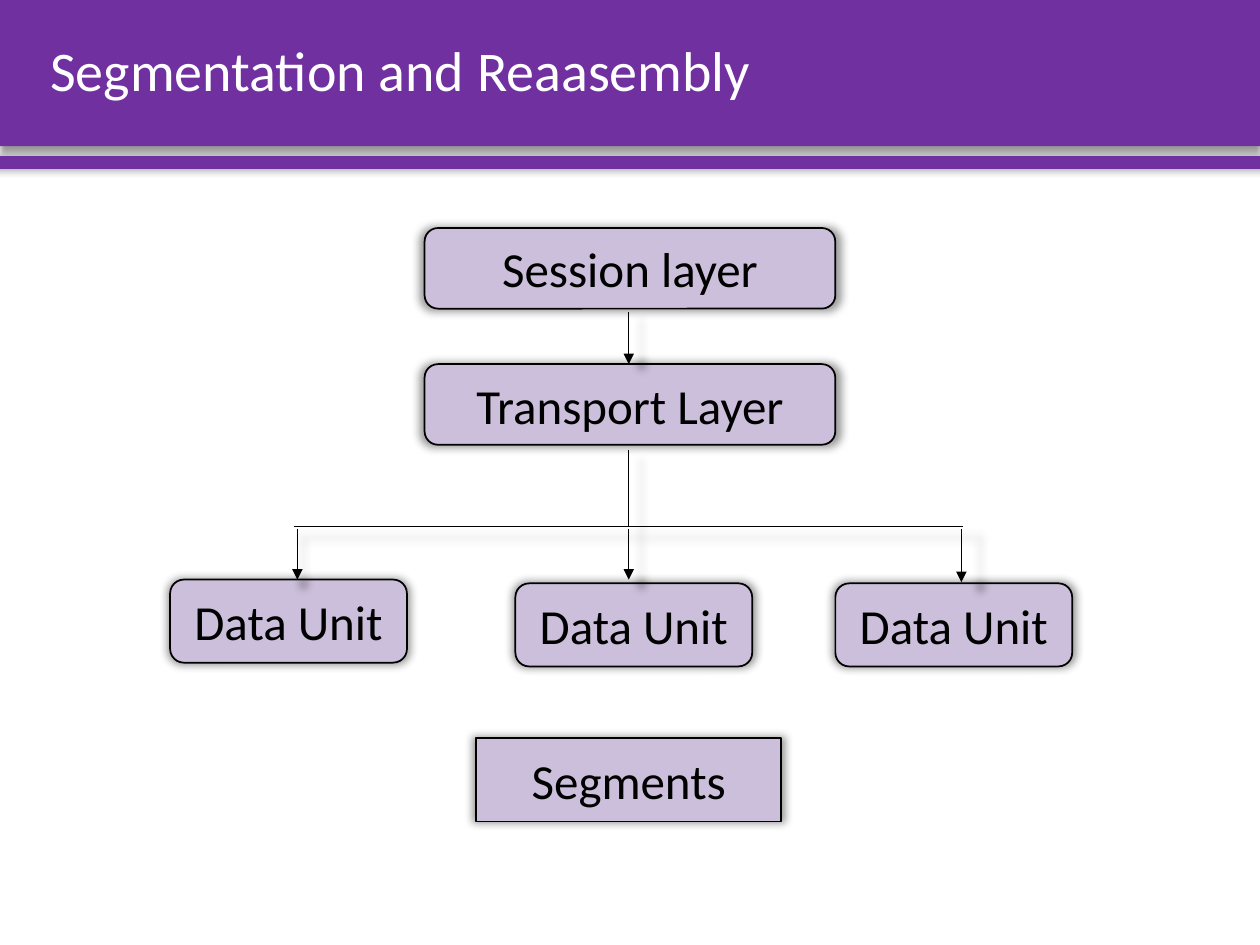
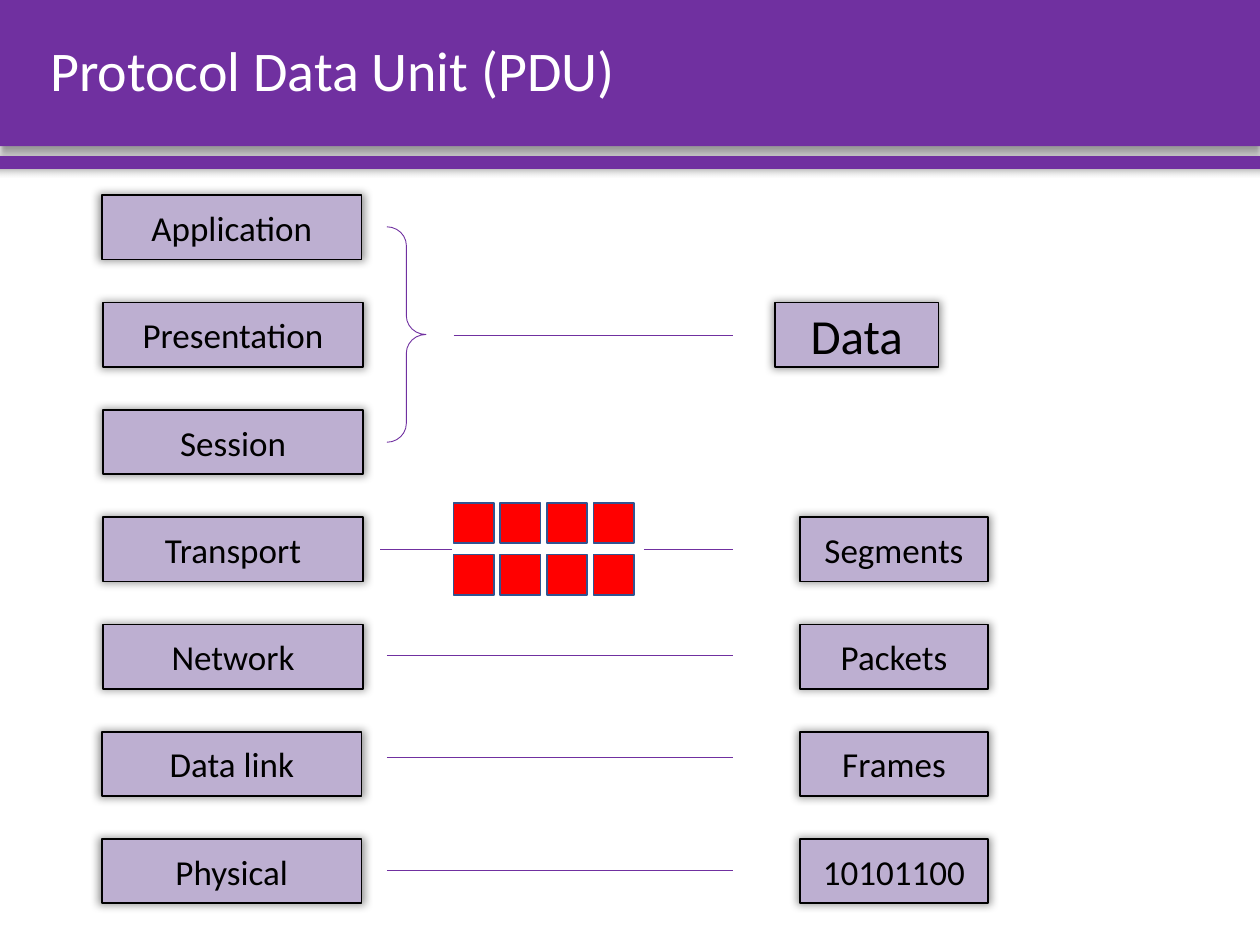
from dataclasses import dataclass

from lxml import etree
from pptx import Presentation
from pptx.dml.color import RGBColor
from pptx.enum.shapes import MSO_CONNECTOR as CONN, MSO_SHAPE as SHAPE
from pptx.enum.text import MSO_ANCHOR as ANCHOR, PP_ALIGN as ALIGN
from pptx.oxml.ns import qn
from pptx.util import Inches, Pt


@dataclass(frozen=True)
class Theme:
    font: str = "Calibri"
    purple: str = "7030A0"
    lilac: str = "CCBFDB"
    mauve: str = "BDAFD1"
    red: str = "FF0000"
    blue: str = "325491"
    black: str = "000000"
    white: str = "FFFFFF"
    title: int = 32
    large: int = 28
    body: int = 20
    outline: float = 1
    hairline: float = 0.5


T = Theme()


def rgb(value):
    return RGBColor.from_string(value)


# Shared drawing helpers; lengths are in inches
def add_shadow(s, blur=5, dist=0, angle=0, scale=102):
    spPr = s.element.spPr
    effects = spPr.find(qn("a:effectLst"))
    if effects is None:
        effects = etree.SubElement(spPr, qn("a:effectLst"))
    shadow = etree.SubElement(
        effects, qn("a:outerShdw"), blurRad=str(Pt(blur)), dist=str(Pt(dist)),
        dir=str(angle * 60000), sx=str(scale * 1000), sy=str(scale * 1000),
        algn="ctr", rotWithShape="0")
    color = etree.SubElement(shadow, qn("a:srgbClr"), val=T.black)
    etree.SubElement(color, qn("a:alpha"), val="40000")


def add_shape(parent, box, fill=None, line=None, kind=SHAPE.RECTANGLE,
              width=T.outline):
    s = parent.shapes.add_shape(kind, *map(Inches, box))
    s.shadow.inherit = False
    if fill:
        s.fill.solid()
        s.fill.fore_color.rgb = rgb(fill)
    else:
        s.fill.background()
    if line:
        s.line.color.rgb = rgb(line)
        s.line.width = Pt(width)
    else:
        s.line.fill.background()
    return s


def write(s, text, size, color, align):
    tf = s.text_frame
    tf.word_wrap = True
    tf.vertical_anchor = ANCHOR.MIDDLE
    tf.text = text
    p = tf.paragraphs[0]
    p.alignment = align
    p.font.name = T.font
    p.font.size = Pt(size)
    p.font.color.rgb = rgb(color)
    return p


def add_label(slide, box, text, fill, size, kind=SHAPE.RECTANGLE):
    s = add_shape(slide, box, fill, T.black, kind)
    add_shadow(s)
    write(s, text, size, T.black, ALIGN.CENTER)


def add_line(slide, x1, y1, x2, y2, color, arrow=False, shadow=False):
    s = slide.shapes.add_connector(CONN.STRAIGHT, *map(Inches, (x1, y1, x2, y2)))
    s.line.color.rgb = rgb(color)
    s.line.width = Pt(T.hairline)
    if arrow:
        ln = s.element.spPr.find(qn("a:ln"))
        etree.SubElement(ln, qn("a:tailEnd"), type="triangle")
    if shadow:
        add_shadow(s)
    else:
        etree.SubElement(s.element.spPr, qn("a:effectLst"))


# Title band with the thin stripe below it
def add_header(slide, box, title):
    x, y, w, h = box
    add_shadow(add_shape(slide, box, T.purple), 4, 3, 90, 100)
    add_shadow(add_shape(slide, (x, y + h + 0.08, w, 0.1), T.purple))
    s = slide.shapes.add_textbox(*map(Inches, (x + 0.3, y, w - 0.54, h)))
    p = write(s, title, T.title, T.white, ALIGN.LEFT)
    p.line_spacing = 0.9


# Layers that split into data units
def add_segmentation(slide, box):
    x, y, w, h = box
    mid = x + 3.64
    layer_w, layer_h, layer_step = 3.26, 0.64, 1.08
    for i, name in enumerate(("Session layer", "Transport Layer")):
        add_label(slide, (x + 2.02, y + i * layer_step, layer_w, layer_h), name,
                  T.lilac, T.large, SHAPE.ROUNDED_RECTANGLE)
    add_line(slide, mid, y + 0.67, mid, y + layer_step, T.black, True, True)

    # Trunk and crossbar
    bar = y + 2.37
    add_line(slide, mid, y + 1.76, mid, bar, T.black, shadow=True)
    add_line(slide, x + 0.98, bar, x + 6.29, bar, T.black, shadow=True)

    # Branches: unit left, unit top, arrow x, arrow tip
    branches = ((0, 2.79, 1.01, 2.79),
                (2.74, 2.82, 3.64, 2.79),
                (5.28, 2.82, 6.28, 2.81))
    for left, top, arrow_x, tip in branches:
        add_label(slide, (x + left, y + top, 1.88, 0.66), "Data Unit",
                  T.lilac, T.large, SHAPE.ROUNDED_RECTANGLE)
        add_line(slide, x + arrow_x, bar + 0.02, x + arrow_x, y + tip,
                 T.black, True, True)
    add_label(slide, (x + 2.43, y + h - 0.66, 2.42, 0.66), "Segments",
              T.lilac, T.large)


# Grid of small squares for the pieces of a message
def add_segment_grid(slide, box):
    x, y, w, h = box
    rows, cols, side = 2, 4, 0.32
    group = slide.shapes.add_group_shape()
    for row in range(rows):
        for col in range(cols):
            left = x + col * (w - side) / (cols - 1)
            top = y + row * (h - side) / (rows - 1)
            add_shape(group, (left, top, side, side), T.red, T.blue)


# Layers on the left, their data units on the right
def add_pdu_map(slide, box):
    x, y, w, h = box
    label_h, line_end = 0.51, x + 5.01
    layers = ("Application", "Presentation", "Session", "Transport",
              "Network", "Data link", "Physical")
    step = (h - label_h) / (len(layers) - 1)
    for i, name in enumerate(layers):
        left = x + (0.01 if 1 <= i <= 4 else 0)
        add_label(slide, (left, y + i * step, 2.06, label_h), name,
                  T.mauve, T.body)

    # Upper three layers share one unit
    brace = add_shape(slide, (x + 2.26, y + 0.25, 0.31, 1.71), line=T.purple,
                      kind=SHAPE.RIGHT_BRACE, width=T.hairline)
    brace.adjustments[0] = 0.48
    add_label(slide, (x + 5.34, y + step, 1.3, label_h), "Data",
              T.mauve, T.large)

    # Lower layers have one unit each
    for i, name in enumerate(("Segments", "Packets", "Frames", "10101100"), 3):
        add_label(slide, (x + w - 1.49, y + i * step, 1.49, label_h), name,
                  T.mauve, T.body)

    add_segment_grid(slide, (x + 2.79, y + 2.44, 1.43, 0.73))
    links = ((2.79, 1.11, 5.01), (2.21, 2.81, 2.78), (4.3, 2.81, 5.01),
             (2.26, 3.65, 5.01), (2.26, 4.46, 5.01), (2.26, 5.36, 5.01))
    for start, level, end in links:
        add_line(slide, x + start, y + level, x + end, y + level, T.purple)


def main():
    prs = Presentation()
    prs.slide_width, prs.slide_height = Inches(10), Inches(7.5)
    pages = (
        ("Segmentation and Reaasembly", add_segmentation, (1.35, 1.81, 7.16, 4.71)),
        ("Protocol Data Unit (PDU)", add_pdu_map, (0.81, 1.55, 7.03, 5.62)),
    )
    for title, add_body, box in pages:
        slide = prs.slides.add_slide(prs.slide_layouts[6])
        add_header(slide, (0, 0, 10, 1.16), title)
        add_body(slide, box)
    prs.save("out.pptx")


if __name__ == "__main__":
    main()
